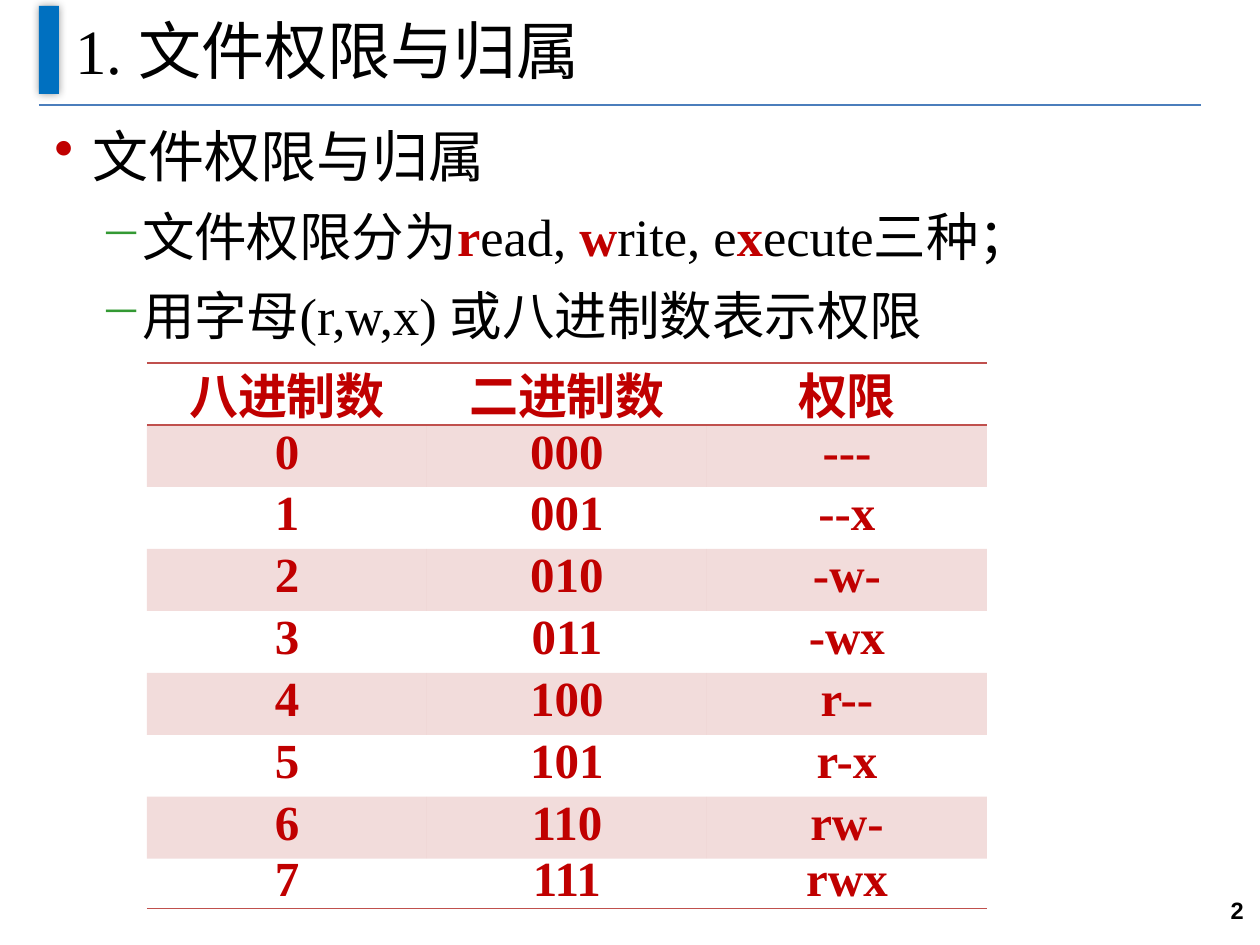
from lxml import etree
from pptx import Presentation, util as u
from pptx.dml.color import RGBColor
from pptx.enum import shapes, text
from pptx.oxml import parse_xml
from pptx.oxml.ns import nsdecls, qn

SERIF, RED, BLACK = "Times New Roman", "C00000", "000000"
A = nsdecls("a")


def px(n):
    return u.Emu(round(n * 914400 / 126))


def style(font, size, color, bold=False, name=SERIF):
    for key, value in {"size": u.Pt(size), "bold": bold, "name": name}.items():
        setattr(font, key, value)
    font.color.rgb = RGBColor.from_string(color)


prs = Presentation()
prs.slide_width, prs.slide_height = px(1260), px(945)
slide = prs.slides.add_slide(prs.slide_layouts[6])

# Title rule and accent bar
rule = slide.shapes.add_connector(
    shapes.MSO_CONNECTOR.STRAIGHT, px(39), px(105), px(1201), px(105))
rule.line.color.rgb = RGBColor.from_string("4B7EBC")
rule.line.width = u.Pt(0.75)
etree.SubElement(rule._element.spPr, qn("a:effectLst"))

bar = slide.shapes.add_shape(
    shapes.MSO_SHAPE.RECTANGLE, px(39), px(6), px(20), px(88))
bar.fill.solid()
bar.fill.fore_color.rgb = RGBColor.from_string("0070C0")
bar.line.fill.background()
bar.shadow.inherit = False
bar._element.spPr.find(qn("a:effectLst")).append(parse_xml(
    f'<a:outerShdw {A} blurRad="63500" dist="0"><a:srgbClr val="000000">'
    '<a:alpha val="40000"/></a:srgbClr></a:outerShdw>'))

# Title and slide number
labels = [
    ("1. 文件权限与归属", (63, -4, 1134, 106), text.PP_ALIGN.LEFT, (36, BLACK)),
    ("2", (1139, 876, 117, 69), text.PP_ALIGN.RIGHT, (13.5, BLACK, True, "Arial")),
]
for words, place, align, font_format in labels:
    frame = slide.shapes.add_textbox(*map(px, place)).text_frame
    frame.word_wrap = True
    frame.vertical_anchor = text.MSO_ANCHOR.MIDDLE
    line = frame.paragraphs[0]
    line.alignment = align
    run = line.add_run()
    run.text = words
    style(run.font, *font_format)

# Bullets: each line is a list of (words, highlighted)
outline = [
    (0, [("文件权限与归属", False)]),
    (1, [("文件权限分为", False), ("r", True), ("ead, ", False), ("w", True),
         ("rite, e", False), ("x", True), ("ecute三种；", False)]),
    (1, [("用字母(r,w,x) 或八进制数表示权限", False)]),
]
# level: font size, left margin, hanging indent, bullet, bullet colour
levels = [(32, 38, -38, "•", RED), (30, 83, -37, "─", "339933")]
body = slide.shapes.add_textbox(px(42), px(115), px(1157), px(799)).text_frame
body.word_wrap = True
for i, (level, parts) in enumerate(outline):
    size, margin, indent, bullet, bullet_color = levels[level]
    line = body.add_paragraph() if i else body.paragraphs[0]
    line.level = level
    line.alignment = text.PP_ALIGN.JUSTIFY
    line.space_before = u.Pt(4.5 if i else 0)
    line.space_after = u.Pt(4.5)
    props = line._p.get_or_add_pPr()
    props.set("marL", str(px(margin)))
    props.set("indent", str(px(indent)))
    props.append(parse_xml(f'<a:buClr {A}><a:srgbClr val="{bullet_color}"/></a:buClr>'))
    props.append(parse_xml(f'<a:buChar {A} char="{bullet}"/>'))
    for words, highlighted in parts:
        run = line.add_run()
        run.text = words
        style(run.font, size, RED if highlighted else BLACK, highlighted)

# Permission table, each row worked out from its octal digit
rows = [("八进制数", "二进制数", "权限")]
for n in range(8):
    bits = f"{n:03b}"
    mode = "".join(c if bit == "1" else "-" for c, bit in zip("rwx", bits))
    rows.append((str(n), bits, mode))
last = len(rows) - 1

table = slide.shapes.add_table(
    len(rows), 3, px(147), px(363), px(840), px(546)).table
table._tbl.tblPr.find(qn("a:tableStyleId")).text = (
    "{2D5ABB26-0587-4C30-8999-92F81FD0307C}")
for column in table.columns:
    column.width = px(280)
for r, values in enumerate(rows):
    table.rows[r].height = px(50 if r == last else 62)
    borders = {0: ("lnT", "lnB"), last: ("lnB",)}.get(r, ())
    for c, value in enumerate(values):
        cell = table.cell(r, c)
        cell.vertical_anchor = text.MSO_ANCHOR.MIDDLE
        if r == last:
            cell.margin_top = cell.margin_bottom = 0
        for edge in borders:
            cell._tc.get_or_add_tcPr().append(parse_xml(
                f'<a:{edge} {A} w="12700"><a:solidFill>'
                f'<a:srgbClr val="C0504D"/></a:solidFill></a:{edge}>'))
        if r % 2:
            cell.fill.solid()
            cell.fill.fore_color.rgb = RGBColor.from_string("C0504D")
            tint = cell._tc.tcPr.find(".//" + qn("a:solidFill"))[0]
            etree.SubElement(tint, qn("a:alpha"), val="20000")
        else:
            cell.fill.background()
        line = cell.text_frame.paragraphs[0]
        line.alignment = text.PP_ALIGN.CENTER
        line.line_spacing = 0.8
        run = line.add_run()
        run.text = value
        style(run.font, 28, RED, True)

prs.save("out.pptx")
